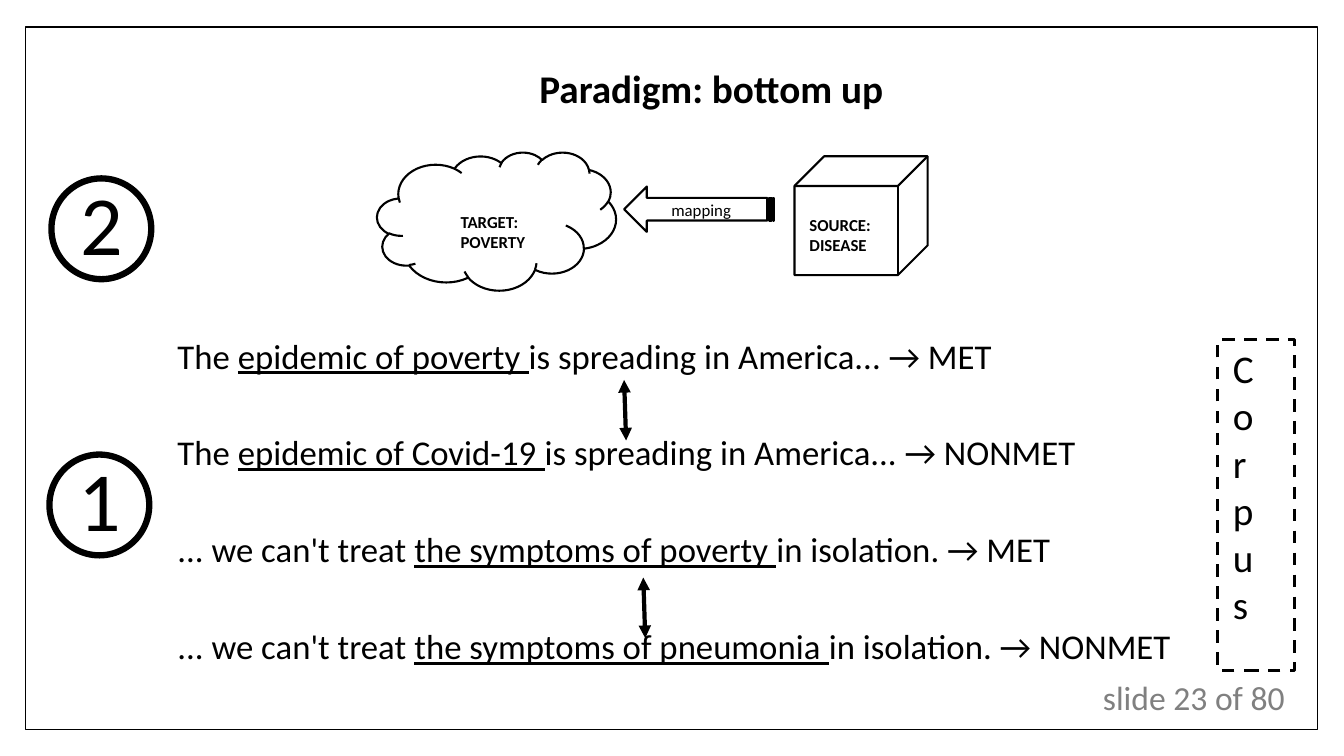
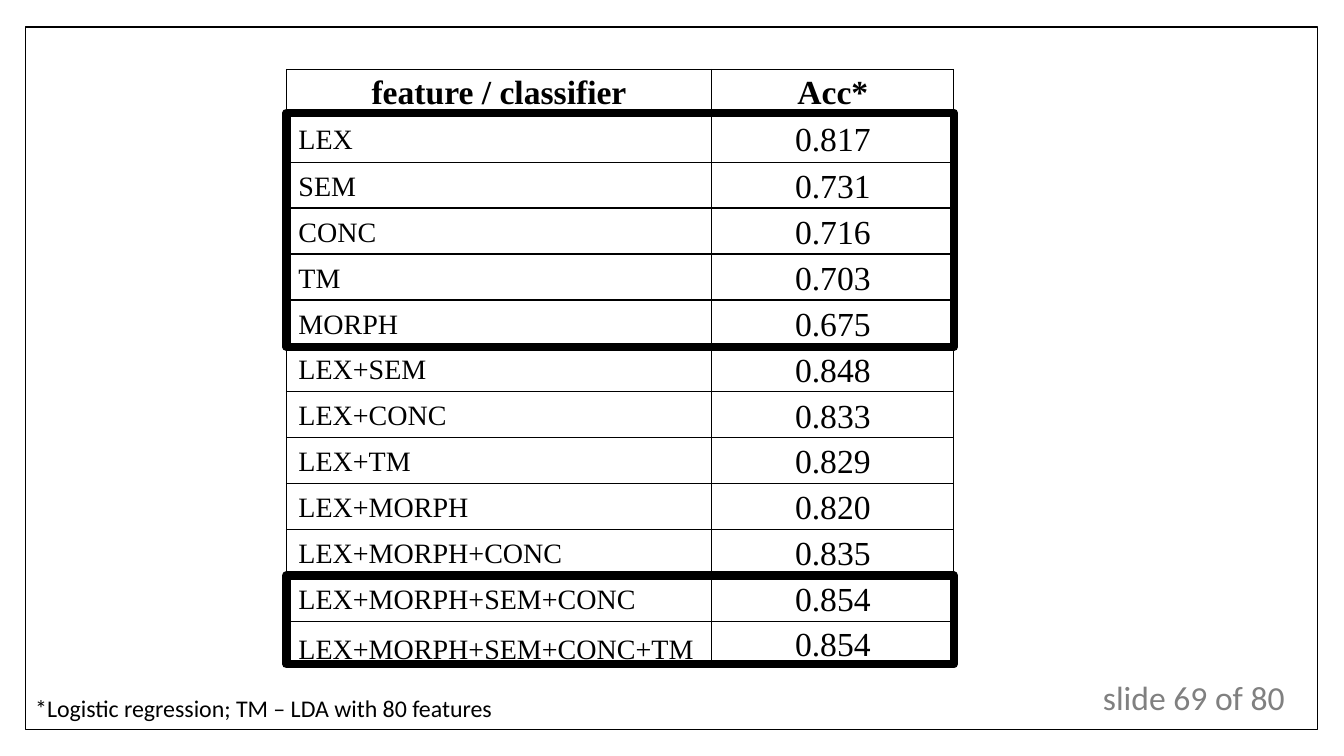
"""Build two slides: a bottom-up metaphor paradigm and a table of classifier accuracies."""
from dataclasses import dataclass

from lxml import etree
from pptx import Presentation
from pptx.dml.color import RGBColor
from pptx.enum.dml import MSO_LINE
from pptx.enum.shapes import MSO_CONNECTOR, MSO_SHAPE
from pptx.enum.text import MSO_ANCHOR, MSO_AUTO_SIZE, PP_ALIGN
from pptx.oxml.ns import qn
from pptx.util import Inches, Pt

RECT, OVAL, CLOUD = MSO_SHAPE.RECTANGLE, MSO_SHAPE.OVAL, MSO_SHAPE.CLOUD
CUBE, ARROW = MSO_SHAPE.CUBE, MSO_SHAPE.STRIPED_RIGHT_ARROW
LEFT, CENTER = PP_ALIGN.LEFT, PP_ALIGN.CENTER
TOP, MIDDLE, BOTTOM = MSO_ANCHOR.TOP, MSO_ANCHOR.MIDDLE, MSO_ANCHOR.BOTTOM
FIT, FIXED = MSO_AUTO_SIZE.SHAPE_TO_FIT_TEXT, MSO_AUTO_SIZE.NONE
DASH, STRAIGHT = MSO_LINE.DASH, MSO_CONNECTOR.STRAIGHT


@dataclass(frozen=True)
class Theme:
    ink: RGBColor = RGBColor(0, 0, 0)
    muted: RGBColor = RGBColor(0x80, 0x80, 0x80)
    paper: RGBColor = RGBColor(0xFF, 0xFF, 0xFF)
    sans: str = "Calibri"
    serif: str = "Times New Roman"
    title: float = 28
    page: float = 24
    label: float = 12
    example: float = 24.8
    step: float = 60
    note: float = 17.1
    cell: float = 24
    feature: float = 20


T = Theme()
LAST_PAGE = 80
FRAME = (0.25, 0.27, 12.82, 6.97)
PAGE_BOX = (10.84, 6.67, 2.21, 0.5)

TITLE = "Paradigm: bottom up"
TITLE_BOX = (5.25, 0.59, 4.1, 0.57)
OUTLINES = [
    (CLOUD, (3.74, 1.51, 2.37, 1.37), 0),
    (CUBE, (7.88, 1.55, 1.32, 1.18), 0),
    (ARROW, (6.19, 1.85, 1.49, 0.45), 180),
]
LABELS = [
    (["TARGET:", "POVERTY"], (4.47, 2.05, 1.03, 0.5), True),
    (["SOURCE:", "DISEASE"], (7.93, 2.08, 0.92, 0.5), True),
    (["mapping"], (6.56, 1.93, 0.82, 0.3), False),
]
EXAMPLES = [
    ("The ", "epidemic of poverty ", "is spreading in America... → MET"),
    ("The ", "epidemic of Covid-19 ", "is spreading in America... → NONMET"),
    ("... we can't treat ", "the symptoms of poverty ", "in isolation. → MET"),
    ("... we can't treat ", "the symptoms of pneumonia ", "in isolation. → NONMET"),
]
EXAMPLES_BOX = (1.61, 3.38, 10.71, 3.36)
PAIR_ARROWS = [(6.19, 3.77), (6.38, 5.73)]
STEPS = [("1", (0.49, 4.51, 0.99, 1)), ("2", (0.51, 1.77, 0.99, 1))]
CORPUS_BOX = (12.08, 3.37, 0.76, 3.28)

HEADER = ("feature / classifier", "Acc*")
SCORES = [
    ("LEX", "0.817"),
    ("SEM", "0.731"),
    ("CONC", "0.716"),
    ("TM", "0.703"),
    ("MORPH", "0.675"),
    ("LEX+SEM", "0.848"),
    ("LEX+CONC", "0.833"),
    ("LEX+TM", "0.829"),
    ("LEX+MORPH", "0.820"),
    ("LEX+MORPH+CONC", "0.835"),
    ("LEX+MORPH+SEM+CONC", "0.854"),
    ("LEX+MORPH+SEM+CONC+TM", "0.854"),
]
TABLE_BOX = (2.84, 0.69, 6.62, 5.9)
COLUMNS = (4.22, 2.4)
HEADER_H, FIRST_H, LAST_H = 0.42, 0.48, 0.44
HIGHLIGHTS = [(1.12, 2.32), (5.71, 0.88)]
NOTE = "*Logistic regression; TM – LDA with 80 features"
NOTE_BOX = (0.2, 6.91, 6.12, 0.32)


def inches(box):
    return [Inches(v) for v in box]


def add_run(p, text, size, color=T.ink, font=T.sans, bold=False, underline=False):
    r = p.add_run()
    r.text = text
    r.font.size, r.font.name, r.font.bold = Pt(size), font, bold
    r.font.underline = underline
    r.font.color.rgb = color


def set_indent(p):
    pPr = p._p.get_or_add_pPr()
    pPr.set("marL", str(Inches(0.05)))
    pPr.set("indent", "0")


def add_outline(slide, kind, box, width, fill=None, dash=None):
    sp = slide.shapes.add_shape(kind, *inches(box))
    sp.shadow.inherit = False
    if fill is None:
        sp.fill.background()
    else:
        sp.fill.solid()
        sp.fill.fore_color.rgb = fill
    sp.line.color.rgb, sp.line.width = T.ink, Pt(width)
    if dash is not None:
        sp.line.dash_style = dash
    return sp


def add_text(slide, lines, box, size, **style):
    tf = slide.shapes.add_textbox(*inches(box)).text_frame
    tf.word_wrap = True
    for i, line in enumerate(lines):
        p = tf.add_paragraph() if i else tf.paragraphs[0]
        add_run(p, line, size, **style)
    return tf


def place(sp, box):
    sp.left, sp.top, sp.width, sp.height = inches(box)
    tf = sp.text_frame
    tf.word_wrap, tf.auto_size, tf.vertical_anchor = True, FIXED, TOP
    return tf


def new_slide(prs, layout, page):
    slide = prs.slides.add_slide(prs.slide_layouts[layout])
    for sp in list(slide.placeholders):
        if sp.placeholder_format.idx > 1:
            sp._element.getparent().remove(sp._element)
    frame = add_outline(slide, RECT, FRAME, 1, T.paper)
    slide.shapes._spTree.insert(2, frame._element)
    add_text(slide, [f"slide {page} of {LAST_PAGE}"], PAGE_BOX, T.page, color=T.muted)
    return slide


def add_pair_arrow(slide, x, y):
    ends = inches((x, y, x + 0.02, y + 0.6))
    line = slide.shapes.add_connector(STRAIGHT, *ends)
    line.line.color.rgb, line.line.width = T.ink, Pt(3)
    ln = line.line._get_or_add_ln()
    for end in ("a:headEnd", "a:tailEnd"):
        etree.SubElement(ln, qn(end), type="triangle")
    etree.SubElement(line._element.spPr, qn("a:effectLst"))


def add_examples(slide):
    tf = place(slide.placeholders[1], EXAMPLES_BOX)
    for i, parts in enumerate(EXAMPLES):
        p = tf.add_paragraph() if i else tf.paragraphs[0]
        p.line_spacing, p.space_before = 0.7, Pt(48.4 if i else 0)
        set_indent(p)
        etree.SubElement(p._p.get_or_add_pPr(), qn("a:buNone"))
        for j, part in enumerate(parts):
            add_run(p, part, T.example, underline=j == 1)


def add_corpus(slide):
    tf = add_outline(slide, RECT, CORPUS_BOX, 2.25, dash=DASH).text_frame
    tf.word_wrap, tf.auto_size, tf.vertical_anchor = True, FIT, TOP
    tf._txBody.bodyPr.set("vert", "wordArtVert")
    p = tf.paragraphs[0]
    p.alignment = LEFT
    set_indent(p)
    add_run(p, "Corpus", T.title)


def paradigm_slide(prs):
    slide = new_slide(prs, 1, 23)
    p = place(slide.shapes.title, TITLE_BOX).paragraphs[0]
    p.alignment = LEFT
    add_run(p, TITLE, T.title, bold=True)
    for kind, box, angle in OUTLINES:
        add_outline(slide, kind, box, 1.5).rotation = angle
    for lines, box, bold in LABELS:
        add_text(slide, lines, box, T.label, bold=bold)
    add_examples(slide)
    for x, y in PAIR_ARROWS:
        add_pair_arrow(slide, x, y)
    for digit, box in STEPS:
        tf = add_outline(slide, OVAL, box, 4.5).text_frame
        tf.word_wrap, tf.vertical_anchor = False, MIDDLE
        tf.margin_left = tf.margin_right = tf.margin_top = 0
        tf.margin_bottom = Inches(0.14)
        tf.paragraphs[0].alignment = CENTER
        add_run(tf.paragraphs[0], digit, T.step)
    add_corpus(slide)


def set_borders(cell):
    tcPr = cell._tc.get_or_add_tcPr()
    for i, side in enumerate(("a:lnL", "a:lnR", "a:lnT", "a:lnB")):
        ln = etree.Element(qn(side), w=str(Pt(1)))
        fill = etree.SubElement(ln, qn("a:solidFill"))
        etree.SubElement(fill, qn("a:srgbClr"), val=str(T.ink))
        tcPr.insert(i, ln)


def add_scores(slide):
    rows = [HEADER] + SCORES
    middle = len(rows) - 3
    row_h = (TABLE_BOX[3] - HEADER_H - FIRST_H - LAST_H) / middle
    heights = [HEADER_H, FIRST_H] + [row_h] * middle + [LAST_H]
    table = slide.shapes.add_table(len(rows), len(HEADER), *inches(TABLE_BOX)).table
    table.first_row = table.horz_banding = False
    for column, width in zip(table.columns, COLUMNS):
        column.width = Inches(width)
    for i, (row, height) in enumerate(zip(rows, heights)):
        table.rows[i].height = Inches(height)
        for j, text in enumerate(row):
            cell = table.cell(i, j)
            feature = i > 0 and j == 0
            cell.fill.background()
            set_borders(cell)
            cell.margin_left = Inches(0.12 if feature else 0.01)
            cell.margin_right = cell.margin_top = Inches(0.01)
            cell.margin_bottom = 0
            last = feature and i == len(rows) - 1
            cell.vertical_anchor = BOTTOM if last else MIDDLE
            p = cell.text_frame.paragraphs[0]
            p.alignment, p.line_spacing = LEFT if feature else CENTER, 1.07
            size = T.feature if feature else T.cell
            add_run(p, text, size, font=T.serif, bold=i == 0)


def accuracy_slide(prs):
    slide = new_slide(prs, 6, 69)
    p = add_text(slide, [NOTE], NOTE_BOX, T.note).paragraphs[0]
    p.line_spacing = 0.7
    set_indent(p)
    add_scores(slide)
    for top, height in HIGHLIGHTS:
        add_outline(slide, RECT, (TABLE_BOX[0], top, TABLE_BOX[2], height), 6)


def main():
    prs = Presentation()
    prs.slide_width, prs.slide_height = Inches(13.33), Inches(7.5)
    paradigm_slide(prs)
    accuracy_slide(prs)
    prs.save("out.pptx")


if __name__ == "__main__":
    main()
